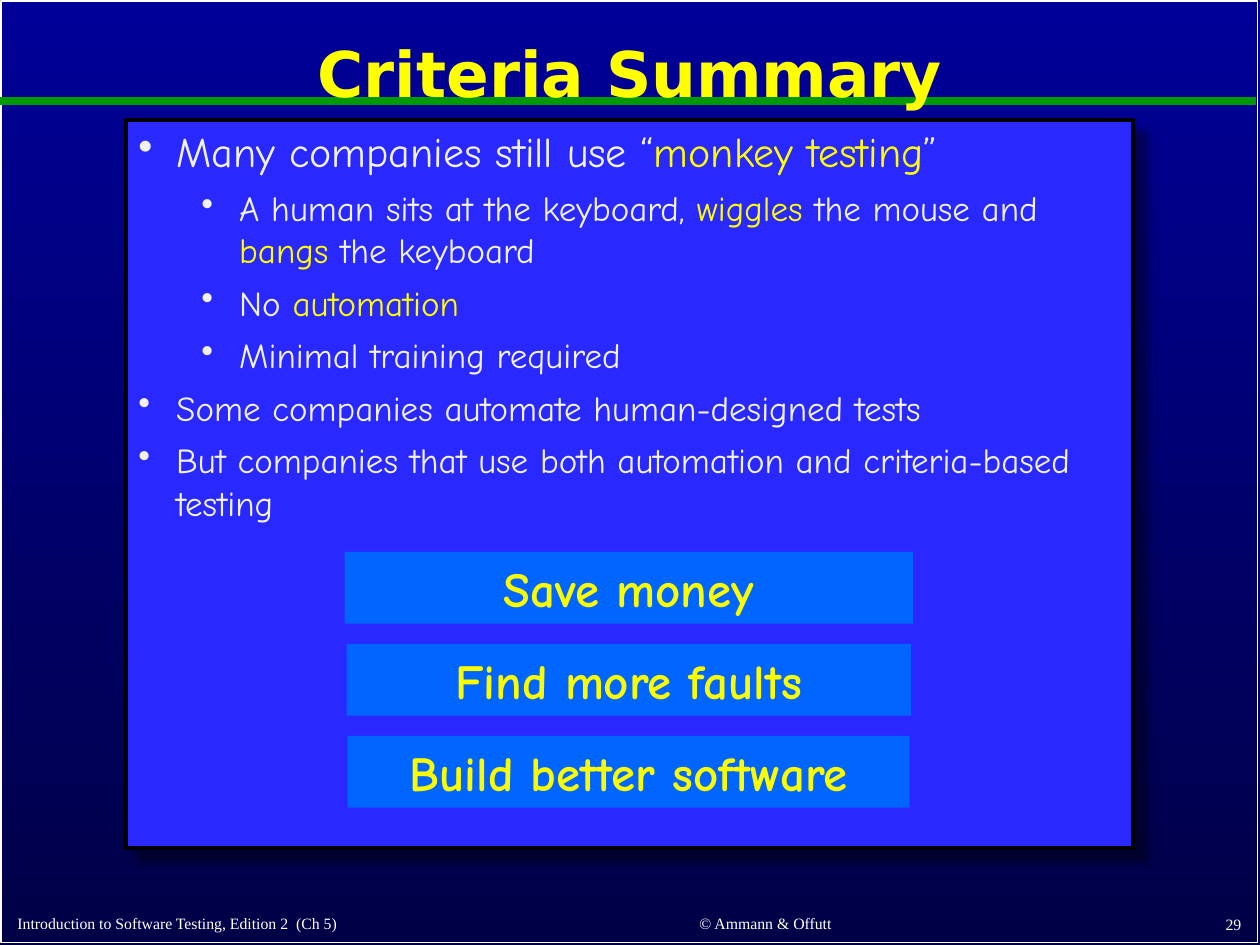
from lxml import etree
from pptx import Presentation
from pptx.dml.color import RGBColor
from pptx.enum.shapes import MSO_CONNECTOR, MSO_SHAPE
from pptx.enum.text import MSO_ANCHOR, MSO_AUTO_SIZE, PP_ALIGN
from pptx.oxml import parse_xml
from pptx.oxml.ns import nsdecls, qn
from pptx.util import Inches, Pt

RECT, LINE = MSO_SHAPE.RECTANGLE, MSO_CONNECTOR.STRAIGHT
TOP, MID, LOW = MSO_ANCHOR.TOP, MSO_ANCHOR.MIDDLE, MSO_ANCHOR.BOTTOM
LEFT, MIDST, RIGHT = PP_ALIGN.LEFT, PP_ALIGN.CENTER, PP_ALIGN.RIGHT
GROW = MSO_AUTO_SIZE.SHAPE_TO_FIT_TEXT

COLORS = {
    "sky": "000099", "night": "000046", "white": "FFFFFF", "green": "009900",
    "yellow": "FFFF00", "panel": "2929FF", "black": "000000", "pale": "F2F2F2",
    "button": "0066FF", "lemon": "FAFD00",
}
SHADOW = (
    f'<a:effectLst {nsdecls("a")}><a:outerShdw blurRad="{Pt(4)}" dist="{Pt(10)}" '
    f'dir="2700000" algn="tl" rotWithShape="0"><a:srgbClr val="{COLORS["black"]}">'
    '<a:alpha val="40000"/></a:srgbClr></a:outerShdw></a:effectLst>'
)


def color(name):
    return RGBColor.from_string(COLORS[name])


class Deck:
    """Holds the fonts and the current slide."""
    head, body, foot = "DejaVu Sans", "Comic Neue", "Times New Roman"

    def __init__(self, slide):
        self.slide = slide

    def ground(self, top, base):
        fill = self.slide.background.fill
        fill.gradient()
        fill.gradient_angle = 270
        for stop, name in zip(fill.gradient_stops, (top, base)):
            stop.color.rgb = color(name)

    def rect(self, box, fill=None, edge=None, width=1):
        shape = self.slide.shapes.add_shape(RECT, *map(Inches, box))
        shape.shadow.inherit = False
        if fill:
            shape.fill.solid()
            shape.fill.fore_color.rgb = color(fill)
        else:
            shape.fill.background()
        if edge:
            shape.line.color.rgb = color(edge)
            shape.line.width = Pt(width)
        else:
            shape.line.fill.background()
        return shape

    def rule(self, start, end, name, width):
        line = self.slide.shapes.add_connector(LINE, *map(Inches, start + end))
        line.line.color.rgb = color(name)
        line.line.width = Pt(width)
        etree.SubElement(line._element.spPr, qn("a:effectLst"))

    def font(self, run, face, size, name, bold=False):
        run.font.name = face
        run.font.size = Pt(size)
        run.font.bold = bold
        run.font.color.rgb = color(name)

    def words(self, shape, text, align, anchor, *style):
        frame = shape.text_frame
        frame.word_wrap = True
        frame.vertical_anchor = anchor
        frame.text = text
        para = frame.paragraphs[0]
        para.alignment = align
        self.font(para.runs[0], *style)
        return para

    def label(self, box, *text):
        shape = self.slide.shapes.add_textbox(*map(Inches, box))
        return self.words(shape, *text)

    def button(self, box, text):
        shape = self.rect(box, "button")
        self.words(shape, text, MIDST, TOP, self.body, 28, "lemon", True)
        shape.text_frame.auto_size = GROW

    def panel(self, box, items):
        """Each item is level, size and text, with *stars* around words in yellow."""
        shape = self.rect(box, "panel", "black", 2.25)
        props = shape._element.spPr
        props.replace(props.find(qn("a:effectLst")), parse_xml(SHADOW))
        frame = shape.text_frame
        frame.word_wrap = True
        frame.vertical_anchor = TOP
        for i, (level, size, text) in enumerate(items):
            para = frame.paragraphs[0] if i == 0 else frame.add_paragraph()
            para.level = level
            para.alignment = LEFT
            para.space_before = Pt(6)
            self.bullet(para, 0.3 + 0.5 * level)
            for j, part in enumerate(text.split("*")):
                if part:
                    run = para.add_run()
                    run.text = part
                    self.font(run, self.body, size, "yellow" if j % 2 else "pale")

    def bullet(self, para, indent):
        props = para._p.get_or_add_pPr()
        props.set("marL", str(Inches(indent)))
        props.set("indent", str(Inches(-0.3)))
        etree.SubElement(props, qn("a:buChar"), char="•")


def main():
    show = Presentation()
    show.slide_width, show.slide_height = Inches(10), Inches(7.5)
    deck = Deck(show.slides.add_slide(show.slide_layouts[6]))

    deck.ground("sky", "night")
    deck.rect((0.01, 0.01, 9.97, 7.47), edge="white")
    deck.rule((0, 0.8), (9.97, 0.8), "green", 4.5)
    title = deck.label((0.05, 0.11, 9.9, 1), "Criteria Summary", MIDST, MID,
                       deck.head, 36, "yellow", True)
    title.line_spacing = 0.9

    for box, text, align in (
        ((0.04, 7.18, 4.2, 0.27),
         "Introduction to Software Testing, Edition 2  (Ch 5)", LEFT),
        ((4.49, 7.17, 3.17, 0.28), "© Ammann & Offutt", MIDST),
        ((7.87, 7.17, 2.08, 0.29), "29", RIGHT),
    ):
        deck.label(box, text, align, LOW, deck.foot, 9, "white")

    deck.panel((1, 0.95, 7.99, 5.78), (
        (0, 24, "Many companies still use “*monkey testing*”"),
        (1, 20, "A human sits at the keyboard, *wiggles* the mouse and "
                "*bangs* the keyboard"),
        (1, 20, "No *automation*"),
        (1, 20, "Minimal training required"),
        (0, 20, "Some companies automate human-designed tests"),
        (0, 20, "But companies that use both automation and criteria-based testing"),
    ))

    gains = ("Save money", 4.51), ("Find more faults", 4.48), ("Build better software", 4.46)
    for i, (text, width) in enumerate(gains):
        deck.button((4.99 - width / 2, 4.38 + 0.73 * i, width, 0.57), text)

    show.save("out.pptx")


if __name__ == "__main__":
    main()
